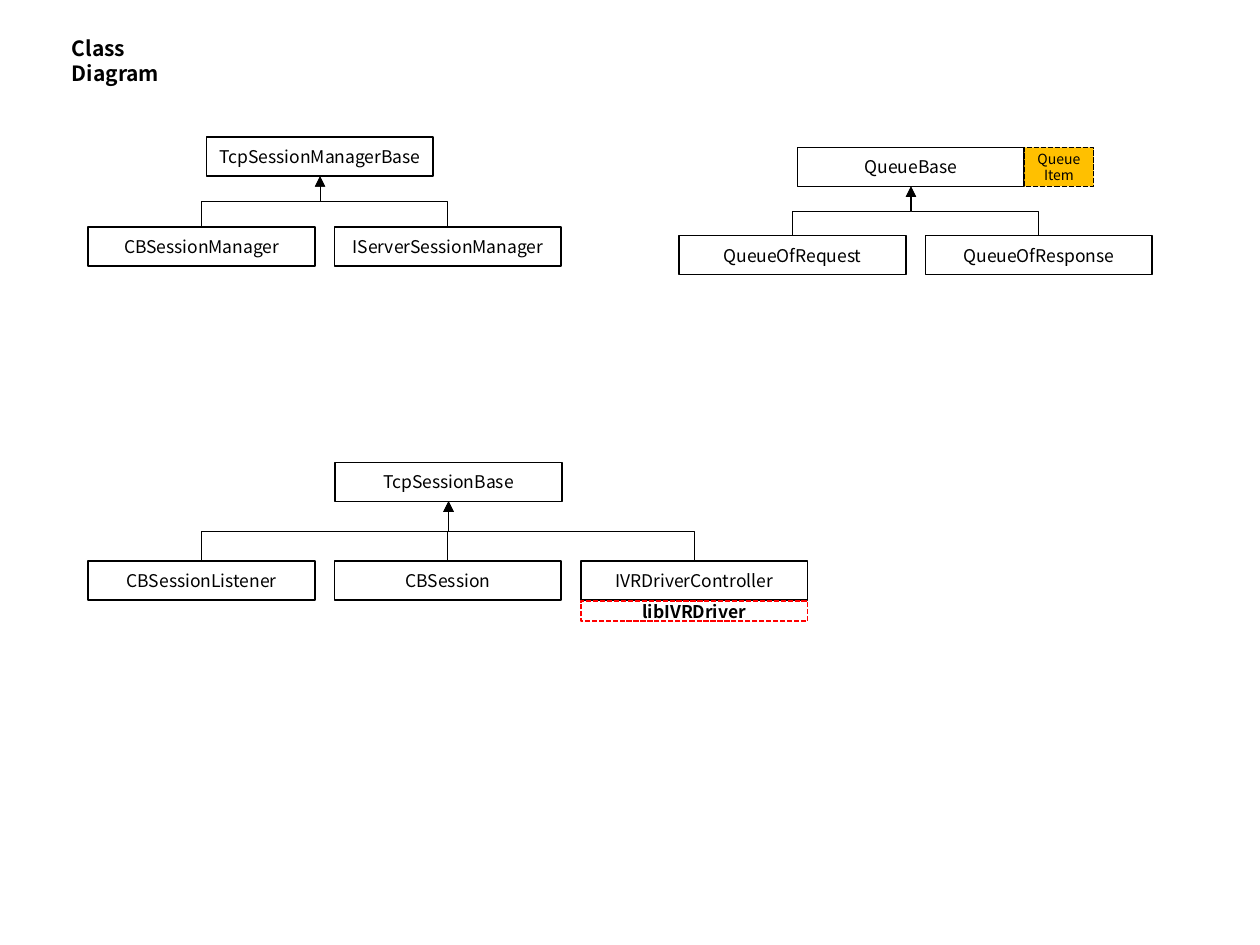
from pptx import Presentation
from pptx.dml.color import RGBColor
from pptx.enum.dml import MSO_LINE
from pptx.enum.shapes import MSO_CONNECTOR, MSO_SHAPE
from pptx.enum.text import MSO_ANCHOR, PP_ALIGN
from pptx.oxml.ns import qn
from pptx.util import Inches, Pt
from lxml.etree import SubElement

FONT = "Noto Sans CJK KR"
BOX_W, BOX_H, PITCH = 1.8, 0.31, 1.955


def write(shape, text, size, bold, align, anchor):
    frame = shape.text_frame
    frame.text = text
    frame.word_wrap = True
    frame.vertical_anchor = anchor
    paragraph = frame.paragraphs[0]
    paragraph.alignment = align
    font = paragraph.runs[0].font
    font.name, font.size, font.bold = FONT, Pt(size), bold
    font.color.rgb = RGBColor.from_string("000000")
    # The same face for East Asian text
    SubElement(font._element, qn("a:ea")).set("typeface", FONT)


def add_box(text, left, top, width=BOX_W, height=BOX_H, size=10, bold=False,
            fill=None, line="000000", dashed=False):
    box = slide.shapes.add_shape(MSO_SHAPE.RECTANGLE, Inches(left), Inches(top),
                                 Inches(width), Inches(height))
    box.shadow.inherit = False
    if fill:
        box.fill.solid()
        box.fill.fore_color.rgb = RGBColor.from_string(fill)
    else:
        box.fill.background()
    box.line.color.rgb = RGBColor.from_string(line)
    box.line.width = Pt(1)
    if dashed:
        box.line.dash_style = MSO_LINE.SQUARE_DOT
    write(box, text, size, bold, PP_ALIGN.CENTER, MSO_ANCHOR.MIDDLE)


prs = Presentation()
prs.slide_width, prs.slide_height = Inches(10), Inches(7.5)
slide = prs.slides.add_slide(prs.slide_layouts[5])

# Title
title = slide.shapes.title
title.left, title.top = Inches(0.47), Inches(0.23)
title.width, title.height = Inches(1.3), Inches(0.3)
write(title, "Class Diagram", 12, True, PP_ALIGN.LEFT, MSO_ANCHOR.TOP)

# Class families: base, its left and top, first child's left, children's top, children
families = [
    ("TcpSessionManagerBase", 1.64, 1.09, 0.7, 1.8,
     ["CBSessionManager", "IServerSessionManager"]),
    ("QueueBase", 6.33, 1.17, 5.39, 1.87,
     ["QueueOfRequest", "QueueOfResponse"]),
    ("TcpSessionBase", 2.66, 3.67, 0.7, 4.45,
     ["CBSessionListener", "CBSession", "IVRDriverController"]),
]
for base, base_left, base_top, first_left, child_top, children in families:
    add_box(base, base_left, base_top)
    base_x, base_bottom = base_left + BOX_W / 2, base_top + BOX_H
    for i, child in enumerate(children):
        child_left = first_left + i * PITCH
        add_box(child, child_left, child_top)

        # Inheritance arrow: an elbow turned a quarter so that it leaves upwards
        child_x = child_left + BOX_W / 2
        mid_x, mid_y = (child_x + base_x) / 2, (child_top + base_bottom) / 2
        turn = 1 if child_x < base_x else -1
        along = turn * (child_top - base_bottom) / 2
        across = abs(child_x - base_x) / 2
        arrow = slide.shapes.add_connector(
            MSO_CONNECTOR.ELBOW, Inches(mid_x + along), Inches(mid_y + across),
            Inches(mid_x - along), Inches(mid_y - across))
        arrow.line.color.rgb = RGBColor.from_string("000000")
        arrow.line.width = Pt(0.5)
        properties = arrow._element.spPr
        properties.find(qn("a:xfrm")).set("rot", str(turn * 90 % 360 * 60000))
        SubElement(properties.find(qn("a:ln")), qn("a:tailEnd")).set("type", "triangle")
        SubElement(properties, qn("a:effectLst"))

# Template parameter and library tags
add_box("QueueItem", 8.13, 1.17, width=0.55, size=8, fill="FFC000", dashed=True)
add_box("libIVRDriver", 4.61, 4.77, height=0.16, bold=True, line="FF0000", dashed=True)

prs.save("out.pptx")
